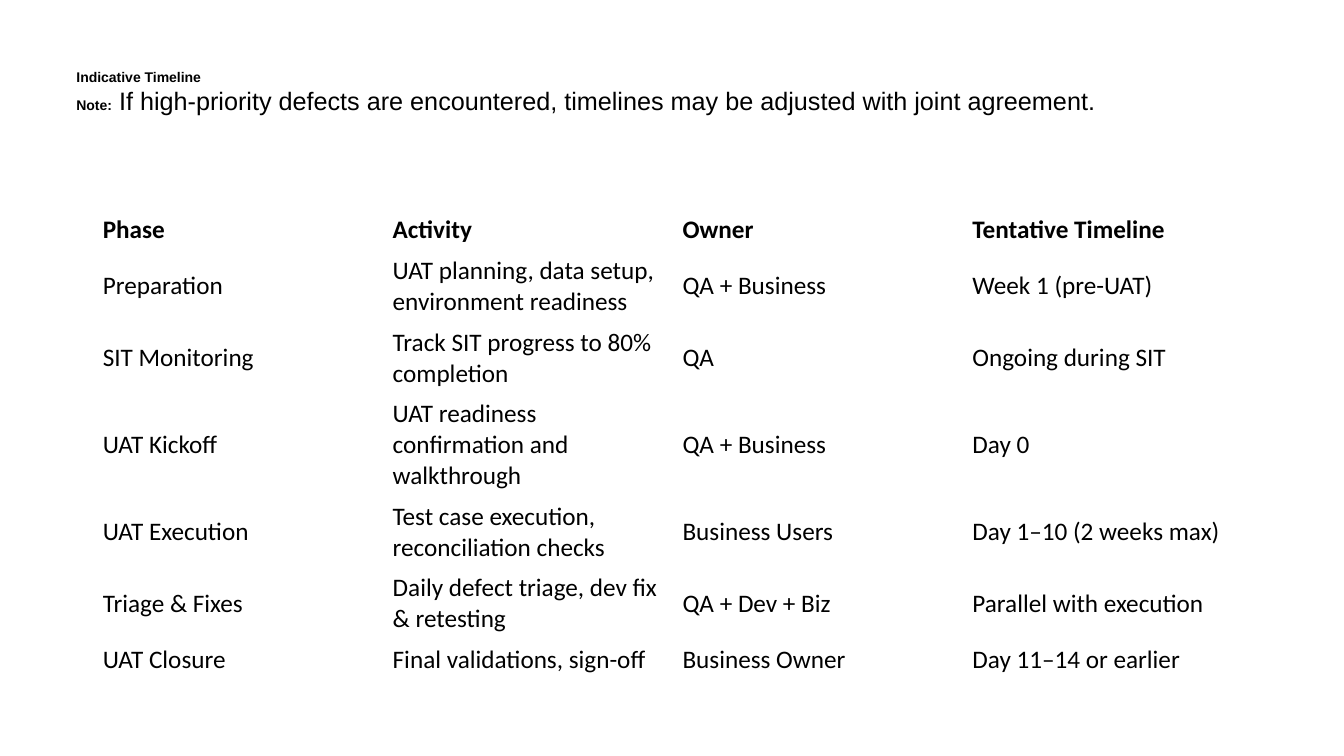
from pptx import Presentation
from pptx.dml.color import RGBColor
from pptx.enum.text import MSO_ANCHOR, MSO_AUTO_SIZE
from pptx.util import Inches, Pt

COLOURS = {"text": "000000", "page": "FFFFFF"}
PAGE_WIDTH, PAGE_HEIGHT = 13.33, 7.5
LINE_HEIGHT, ROW_PADDING = 0.3, 0.1

HEADING = [
    [("Indicative Timeline", {"size": Pt(10), "bold": True})],
    [
        ("Note:", {"size": Pt(10), "bold": True}),
        (" If high-priority defects are encountered, timelines may be "
         "adjusted with joint agreement.", {"size": Pt(18), "bold": False}),
    ],
]

# Text lines needed by each row, then its cells
TIMELINE = [
    (1, ["Phase", "Activity", "Owner", "Tentative Timeline"]),
    (2, ["Preparation", "UAT planning, data setup, environment readiness",
         "QA + Business", "Week 1 (pre-UAT)"]),
    (2, ["SIT Monitoring", "Track SIT progress to 80% completion",
         "QA", "Ongoing during SIT"]),
    (3, ["UAT Kickoff", "UAT readiness confirmation and walkthrough",
         "QA + Business", "Day 0"]),
    (2, ["UAT Execution", "Test case execution, reconciliation checks",
         "Business Users", "Day 1–10 (2 weeks max)"]),
    (2, ["Triage & Fixes", "Daily defect triage, dev fix & retesting",
         "QA + Dev + Biz", "Parallel with execution"]),
    (1, ["UAT Closure", "Final validations, sign-off",
         "Business Owner", "Day 11–14 or earlier"]),
]


def add_span(para, text, font_name, formats):
    span = para.add_run()
    span.text = text
    span.font.name = font_name
    span.font.color.rgb = RGBColor.from_string(COLOURS["text"])
    for name, value in formats.items():
        setattr(span.font, name, value)


def add_heading(page, left, top, width, height):
    box = page.shapes.add_textbox(*map(Inches, (left, top, width, height)))
    frame = box.text_frame
    frame.word_wrap = False
    frame.auto_size = MSO_AUTO_SIZE.SHAPE_TO_FIT_TEXT
    frame.vertical_anchor = MSO_ANCHOR.MIDDLE
    for index, spans in enumerate(HEADING):
        para = frame.add_paragraph() if index else frame.paragraphs[0]
        for text, formats in spans:
            add_span(para, text, "Arial", formats)


def add_timeline(page, left, top, width, height):
    shape = page.shapes.add_table(len(TIMELINE), len(TIMELINE[0][1]),
                                  *map(Inches, (left, top, width, height)))
    table = shape.table
    table.horz_banding = False
    for row_index, (lines, texts) in enumerate(TIMELINE):
        table.rows[row_index].height = Inches(ROW_PADDING + LINE_HEIGHT * lines)
        for column_index, text in enumerate(texts):
            cell = table.cell(row_index, column_index)
            cell.fill.solid()
            cell.fill.fore_color.rgb = RGBColor.from_string(COLOURS["page"])
            cell.vertical_anchor = MSO_ANCHOR.MIDDLE
            add_span(cell.text_frame.paragraphs[0], text, "Calibri",
                     {"size": Pt(18), "bold": row_index == 0})


def main():
    deck = Presentation()
    deck.slide_width, deck.slide_height = Inches(PAGE_WIDTH), Inches(PAGE_HEIGHT)
    page = deck.slides.add_slide(deck.slide_layouts[6])
    add_timeline(page, 0.92, 2.08, 11.5, 4.6)
    add_heading(page, 0.66, 0.66, PAGE_WIDTH, 0.5)
    deck.save("out.pptx")


if __name__ == "__main__":
    main()
